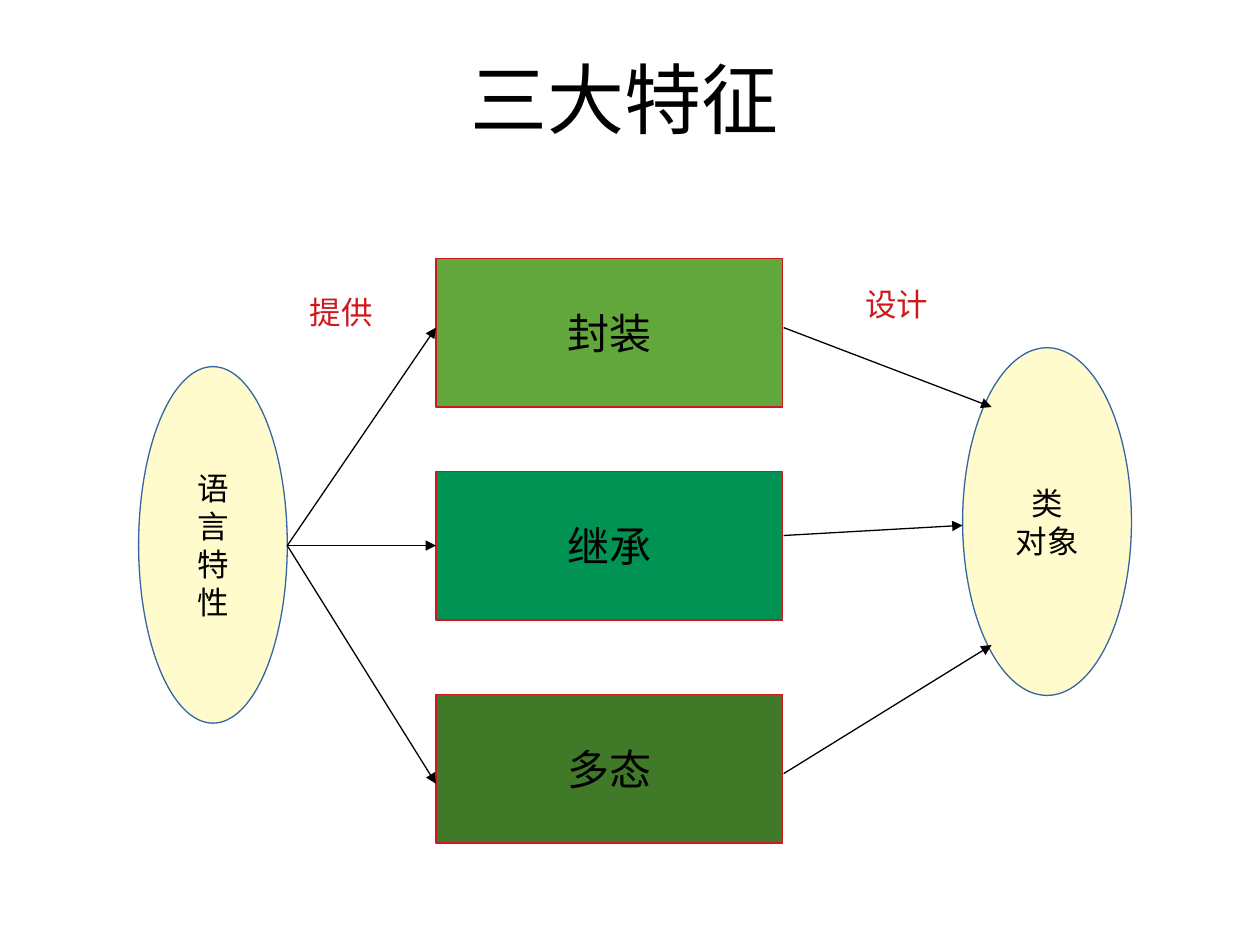
import pptx
import pptx.util
import pptx.dml.color
import pptx.enum.shapes
import pptx.enum.text
import lxml.etree
from pptx.util import Inches

THEME = {
    "heading_font": "Calibri", "body_font": "Arial",
    "title_size": 44, "feature_size": 24, "small_size": 18,
    "black": "000000", "red": "CE181E", "blue": "3465A4", "cream": "FFFBCC",
    "greens": ["62A73B", "009353", "407927"],
}
SHAPES = pptx.enum.shapes.MSO_SHAPE
CENTER = pptx.enum.text.PP_ALIGN.CENTER
MIDDLE = pptx.enum.text.MSO_ANCHOR.MIDDLE


def rgb(name):
    return pptx.dml.color.RGBColor.from_string(THEME.get(name, name))


def write(frame, lines, size, color="black", font="body_font", align=CENTER):
    for index, line in enumerate(lines):
        para = frame.add_paragraph() if index else frame.paragraphs[0]
        para.alignment = align
        span = para.add_run()
        span.text = line
        span.font.size = pptx.util.Pt(THEME[size])
        span.font.name = THEME[font]
        span.font.color.rgb = rgb(color)


deck = pptx.Presentation()
deck.slide_width, deck.slide_height = Inches(10), Inches(7.5)
page = deck.slides.add_slide(deck.slide_layouts[5])

# Title
title = page.shapes.title
title.left, title.top = Inches(0.71), Inches(-0.03)
title.width, title.height = Inches(8.5), Inches(1.61)
title.text_frame.vertical_anchor = MIDDLE
write(title.text_frame, ["三大特征"], "title_size", font="heading_font")

# Feature boxes and the ellipses on either side
features = zip(["封装", "继承", "多态"], [2.05, 3.74, 5.51], THEME["greens"])
nodes = [
    (SHAPES.RECTANGLE, (3.46, top, 2.75, 1.18), fill, "red", [name], "feature_size")
    for name, top, fill in features
] + [
    (SHAPES.OVAL, (1.1, 2.91, 1.18, 2.83), "cream", "blue", list("语言特性"), "small_size"),
    (SHAPES.OVAL, (7.64, 2.76, 1.34, 2.76), "cream", "blue", ["类", "对象"], "small_size"),
]
for kind, place, fill, outline, lines, size in nodes:
    node = page.shapes.add_shape(kind, *map(Inches, place))
    node.shadow.inherit = False
    node.fill.solid()
    node.fill.fore_color.rgb = rgb(fill)
    node.line.color.rgb = rgb(outline)
    node.line.width = pptx.util.Pt(0.75)
    node.text_frame.word_wrap = False
    node.text_frame.vertical_anchor = MIDDLE
    write(node.text_frame, lines, size)

# Arrows: language to features, features to classes
arrows = [(2.28, 4.33, 3.46, end) for end in (2.6, 4.33, 6.22)] + [
    (6.22, 2.6, 7.87, 3.23),
    (6.22, 4.25, 7.64, 4.17),
    (6.22, 6.14, 7.87, 5.12),
]
for ends in arrows:
    arrow = page.shapes.add_connector(
        pptx.enum.shapes.MSO_CONNECTOR.STRAIGHT, *map(Inches, ends))
    arrow.line.color.rgb = rgb("black")
    arrow.line.width = pptx.util.Pt(0.75)
    head = lxml.etree.SubElement(arrow.line._get_or_add_ln(), pptx.oxml.ns.qn("a:tailEnd"))
    head.set("type", "triangle")
    lxml.etree.SubElement(arrow._element.spPr, pptx.oxml.ns.qn("a:effectLst"))

# Arrow labels
for text, left, top in [("提供", 2.36, 2.28), ("设计", 6.77, 2.21)]:
    label = page.shapes.add_textbox(Inches(left), Inches(top), Inches(0.79), Inches(0.47))
    label.text_frame.word_wrap = True
    write(label.text_frame, [text], "small_size", "red", align=pptx.enum.text.PP_ALIGN.LEFT)

deck.save("out.pptx")
